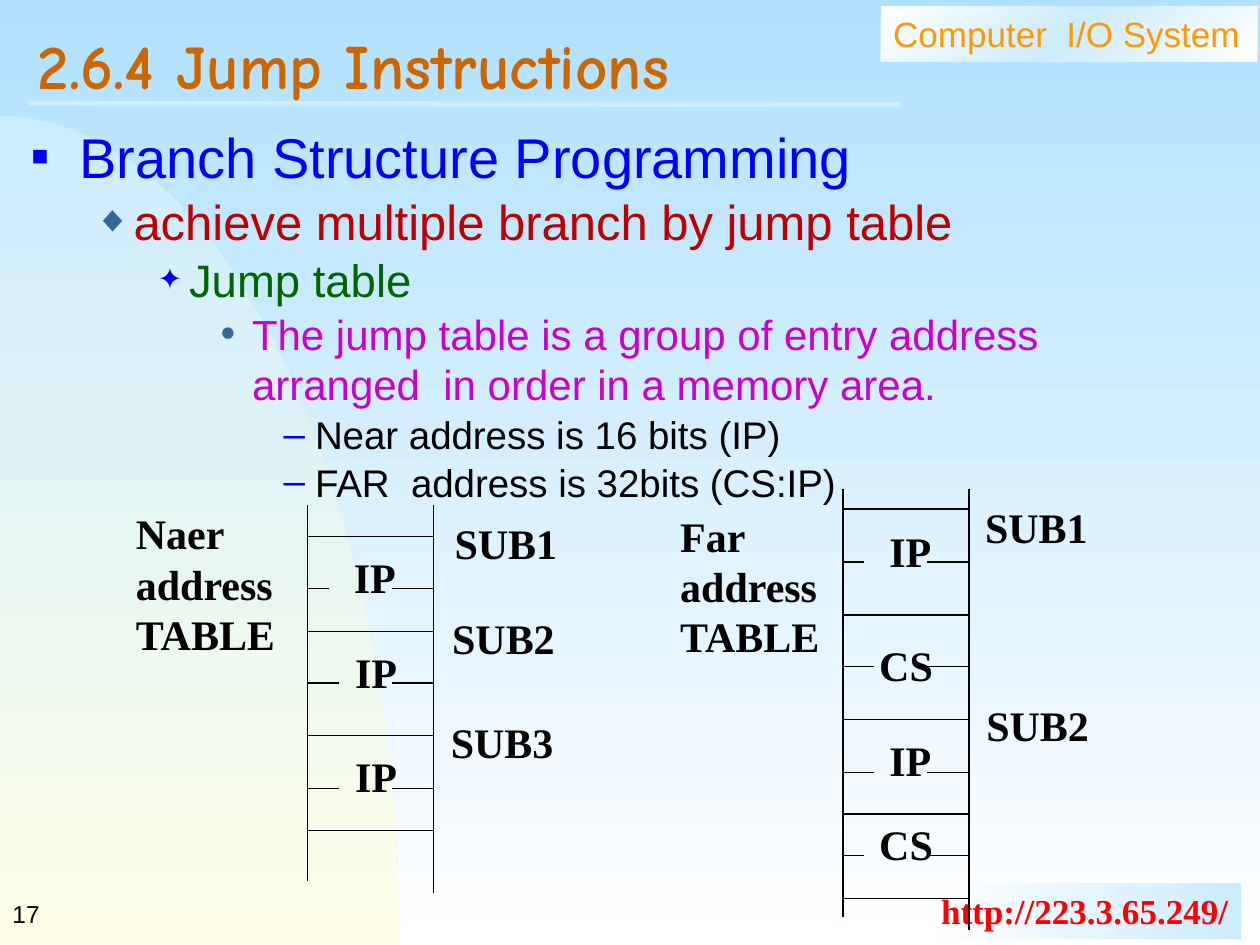
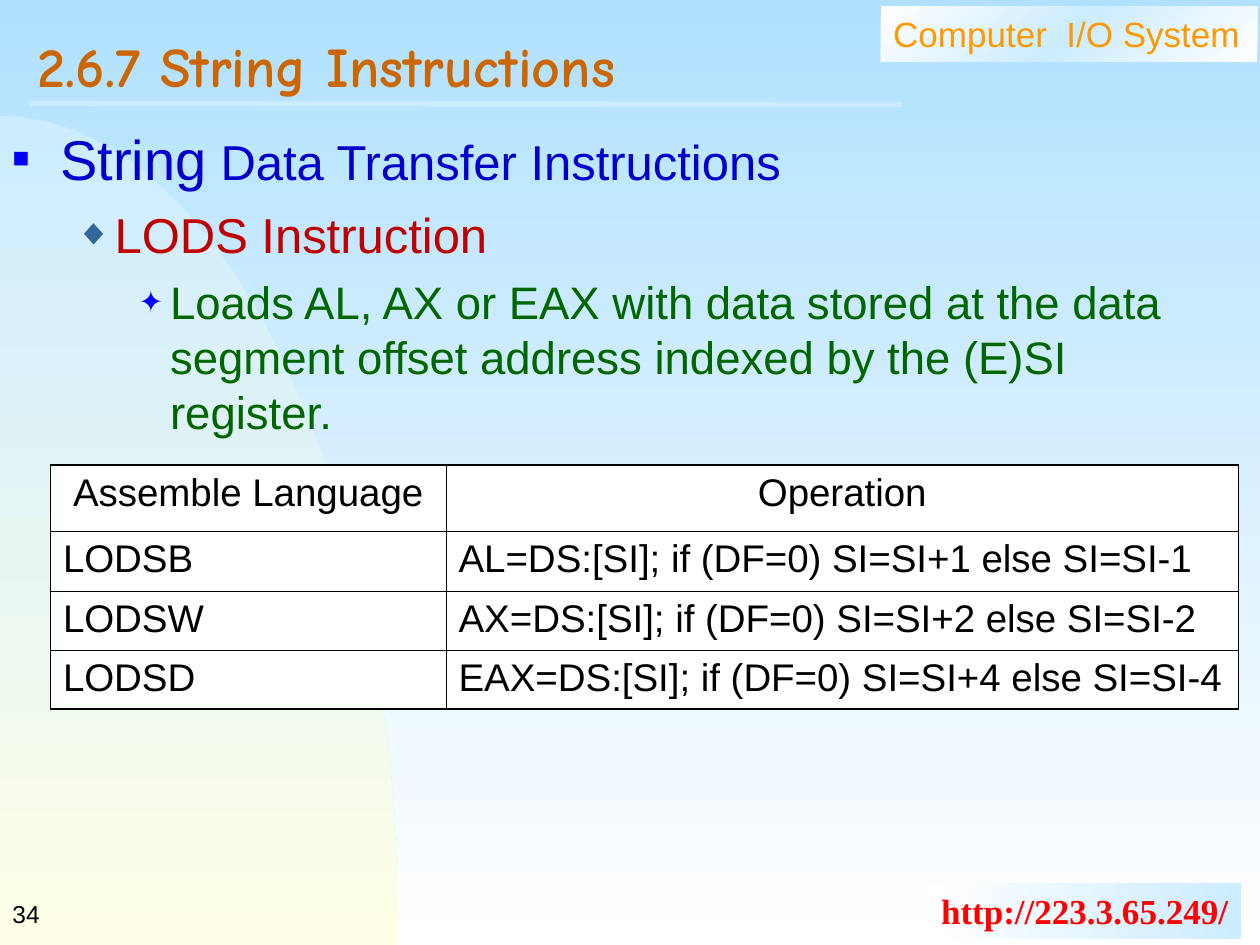
import math

from lxml import etree
from pptx import Presentation
from pptx.dml.color import RGBColor
from pptx.enum.shapes import MSO_CONNECTOR, MSO_SHAPE
from pptx.enum.text import MSO_ANCHOR, MSO_AUTO_SIZE, PP_ALIGN
from pptx.oxml.ns import qn
from pptx.util import Inches, Pt

STRAIGHT = MSO_CONNECTOR.STRAIGHT
RECTANGLE = MSO_SHAPE.RECTANGLE
TOP, MIDDLE = MSO_ANCHOR.TOP, MSO_ANCHOR.MIDDLE
NO_FIT = MSO_AUTO_SIZE.NONE
LEFT, CENTER = PP_ALIGN.LEFT, PP_ALIGN.CENTER

COLORS = {
    "sky": "B1E1FF", "pale": "CCECFF", "cream": "FFFFE7", "white": "FFFFFF",
    "black": "000000", "orange": "FF9900", "red": "FF0000", "title": "CC6600",
    "blue": "0000FF", "navy": "0000CC", "steel": "336699", "crimson": "C00000",
    "green": "006600", "magenta": "CC00CC",
}
SANS, SERIF, COMIC = "Arial", "Times New Roman", "Comic Neue"
TABLE_LABEL = {"name": SERIF, "size": 24, "bold": True}

LEVELS = [
    {"indent": 0.38, "hang": 0.38, "bullet": "■", "color": "blue", "percent": 50},
    {"indent": 0.81, "hang": 0.31, "bullet": "◆", "color": "steel", "percent": 75},
    {"indent": 1.25, "hang": 0.25, "bullet": "✦", "color": "blue", "percent": 65},
    {"indent": 1.75, "hang": 0.25, "bullet": "•", "color": "steel", "percent": 100},
    {"indent": 2.25, "hang": 0.25, "bullet": "–", "color": "blue", "percent": 100},
]

BRANCH_OUTLINE = [
    (0, 1, [("Branch Structure Programming", 32, "blue")]),
    (1, 1, [("achieve multiple branch by jump table", 28, "crimson")]),
    (2, 1, [("Jump table", 26, "green")]),
    (3, 1, [("The jump table is a group of entry address arranged  in order "
             "in a memory area.", 24, "magenta")]),
    (4, 1, [("Near address is 16 bits (IP)", 22, "black")]),
    (4, 1, [("FAR  address is 32bits (CS:IP)", 22, "black")]),
]
STRING_OUTLINE = [
    (0, 7, [("String", 32, "navy"), (" Data Transfer Instructions", 28, "navy")]),
    (1, 7, [("LODS Instruction", 28, "crimson")]),
    (2, 6.5, [("Loads AL, AX or EAX with data stored at the data segment offset "
               "address indexed by the (E)SI register.", 26, "green")]),
]

NEAR_TABLE = {
    "left": 2.44, "top": 4.01, "bottom": 7.09,
    "dividers": [4.26, 5.01, 5.84, 6.59],
    "ticks": [(4.67, 0.17), (5.42, 0.25), (6.26, 0.25)],
    "words": [("IP", 2.71, 4.33), ("IP", 2.72, 5.08), ("IP", 2.72, 5.91)],
    "targets": [("SUB1", 3.51, 4.06), ("SUB2", 3.49, 4.81), ("SUB3", 3.48, 5.64)],
    "caption": ("Naer address TABLE", 0.98, 3.98, 1.36),
}
FAR_TABLE = {
    "left": 6.69, "top": 3.88, "bottom": 7.38,
    "dividers": [4.04, 4.88, 5.71, 6.46, 7.13],
    "ticks": [(4.46, 0.17), (5.29, 0.25), (6.13, 0.25), (6.79, 0.17)],
    "words": [("IP", 6.96, 4.12), ("CS", 6.88, 5.03),
              ("IP", 6.96, 5.78), ("CS", 6.88, 6.45)],
    "targets": [("SUB1", 7.72, 3.93), ("SUB2", 7.73, 5.5)],
    "caption": ("Far address TABLE", 5.3, 4, 1.61),
}

LODS_ROWS = [
    ("Assemble Language", "Operation"),
    ("LODSB", "AL=DS:[SI]; if (DF=0) SI=SI+1 else SI=SI-1"),
    ("LODSW", "AX=DS:[SI]; if (DF=0) SI=SI+2 else SI=SI-2"),
    ("LODSD", "EAX=DS:[SI]; if (DF=0) SI=SI+4 else SI=SI-4"),
]


def rgb(color):
    return RGBColor.from_string(COLORS[color])


def inches(*lengths):
    return [Inches(length) for length in lengths]


def set_all(target, values):
    for name, value in values.items():
        setattr(target, name, value)


def add_run(paragraph, text, size, color="black", name=SANS, bold=False):
    run = paragraph.add_run()
    run.text = text
    set_all(run.font, {"size": Pt(size), "name": name, "bold": bold})
    run.font.color.rgb = rgb(color)


def add_color(parent, color):
    etree.SubElement(parent, qn("a:srgbClr"), val=COLORS[color])


def set_gradient(fill, element, colors, angle):
    fill.gradient()
    fill.gradient_angle = (360 - angle) % 360
    stops = next(element.iter(qn("a:gsLst")))
    for stop in list(stops):
        stops.remove(stop)
    for index, color in enumerate(colors):
        position = 100000 * index // (len(colors) - 1)
        add_color(etree.SubElement(stops, qn("a:gs"), pos=str(position)), color)


def add_line(slide, x1, y1, x2, y2, color="black", width=0.75):
    line = slide.shapes.add_connector(STRAIGHT, *inches(x1, y1, x2, y2))
    line.line.color.rgb = rgb(color)
    line.line.width = Pt(width)
    etree.SubElement(line.element.spPr, qn("a:effectLst"))


def add_label(slide, text, left, top, width, height=0.5, anchor=TOP, **font):
    box = slide.shapes.add_textbox(*inches(left, top, width, height))
    set_all(box.text_frame, {"word_wrap": True, "vertical_anchor": anchor})
    add_run(box.text_frame.paragraphs[0], text, **font)


def add_banner(slide, text, box, gradient, angle, wrap=True, **font):
    banner = slide.shapes.add_shape(RECTANGLE, *inches(*box))
    banner.shadow.inherit = False
    banner.line.fill.background()
    set_gradient(banner.fill, banner.element, gradient, angle)
    set_all(banner.text_frame, {"word_wrap": wrap, "vertical_anchor": TOP})
    paragraph = banner.text_frame.paragraphs[0]
    paragraph.alignment = LEFT
    add_run(paragraph, text, 20, **font)


def add_hill(slide, width=3.17, height=6.58, base=7.5, steps=60):
    angles = [math.pi / 2 * step / steps for step in range(steps + 1)]
    curve = [(Inches(width * math.sin(angle)), Inches(base - height * math.cos(angle)))
             for angle in angles]
    builder = slide.shapes.build_freeform(*curve[0], scale=1.0)
    builder.add_line_segments(curve[1:] + [(0, Inches(base))], close=True)
    hill = builder.convert_to_shape()
    hill.shadow.inherit = False
    hill.line.fill.background()
    set_gradient(hill.fill, hill.element, ["pale", "cream"], 90)


def place_placeholder(shape, box, anchor):
    shape.element.getparent().append(shape.element)
    set_all(shape, dict(zip(("left", "top", "width", "height"), inches(*box))))
    set_all(shape.text_frame, {"auto_size": NO_FIT, "word_wrap": True,
                               "vertical_anchor": anchor})


def add_base_slide(presentation, title, title_size, number):
    slide = presentation.slides.add_slide(presentation.slide_layouts[1])
    add_hill(slide)
    add_banner(slide, "Computer  I/O System", (6.99, 0.05, 2.99, 0.44),
               ["white", "pale", "white"], 45, color="orange")
    add_banner(slide, "http://223.3.65.249/", (7.37, 7.01, 2.48, 0.44),
               ["white", "pale"], 0, wrap=False, color="red", name=SERIF, bold=True)
    add_line(slide, 0.23, 0.82, 7.15, 0.83, "pale", 3)
    add_label(slide, number, 0, 7, 2.08, anchor=MIDDLE, size=14)
    place_placeholder(slide.shapes.title, (0.2, 0.2, 9.55, 0.77), MIDDLE)
    paragraph = slide.shapes.title.text_frame.paragraphs[0]
    set_all(paragraph, {"alignment": LEFT, "line_spacing": 0.7})
    add_run(paragraph, title, title_size, "title", COMIC, True)
    return slide


def set_bullet(paragraph, level):
    properties = paragraph._p.get_or_add_pPr()
    properties.set("marL", str(Inches(level["indent"])))
    properties.set("indent", str(-Inches(level["hang"])))
    add_color(etree.SubElement(properties, qn("a:buClr")), level["color"])
    etree.SubElement(properties, qn("a:buSzPct"), val=str(level["percent"] * 1000))
    etree.SubElement(properties, qn("a:buFont"), typeface=SANS)
    etree.SubElement(properties, qn("a:buChar"), char=level["bullet"])


def fill_outline(slide, box, outline):
    body = slide.placeholders[1]
    place_placeholder(body, box, TOP)
    frame = body.text_frame
    for index, (level, space, runs) in enumerate(outline):
        paragraph = frame.add_paragraph() if index else frame.paragraphs[0]
        set_all(paragraph, {"level": level, "space_before": Pt(space)})
        set_bullet(paragraph, LEVELS[level])
        for text, size, color in runs:
            add_run(paragraph, text, size, color)


def add_address_table(slide, left, top, bottom, dividers, ticks, words, targets, caption):
    right = left + 1
    add_line(slide, left, top, left, bottom - 0.1)
    add_line(slide, right, top, right, bottom)
    for y in dividers:
        add_line(slide, left, y, right, y)
    for y, length in ticks:
        add_line(slide, left, y, left + length, y)
        add_line(slide, right - 0.33, y, right, y)
    for text, x, y in words:
        add_label(slide, text, x, y, 0.7, **TABLE_LABEL)
    for text, x, y in targets:
        add_label(slide, text, x, y, 1.1, **TABLE_LABEL)
    text, x, y, width = caption
    add_label(slide, text, x, y, width, 1.3, **TABLE_LABEL)


def set_borders(cell, outer_sides):
    properties = cell._tc.get_or_add_tcPr()
    for side in "LRTB":
        width = Pt(1.08 if side in outer_sides else 0.45)
        border = etree.SubElement(properties, qn(f"a:ln{side}"), w=str(width))
        add_color(etree.SubElement(border, qn("a:solidFill")), "black")


def add_operation_table(slide, rows, box, column_widths, row_heights):
    frame = slide.shapes.add_table(len(rows), len(column_widths), *inches(*box))
    table = frame.table
    set_all(table, {"first_row": False, "horz_banding": False})
    for column, width in zip(table.columns, column_widths):
        column.width = Inches(width)
    for row, height in zip(table.rows, row_heights):
        row.height = Inches(height)
    for row, texts in enumerate(rows):
        for column, text in enumerate(texts):
            cell = table.cell(row, column)
            outer_sides = "R" if column else "L"
            outer_sides += {0: "T", len(rows) - 1: "B"}.get(row, "")
            set_borders(cell, outer_sides)
            cell.fill.solid()
            cell.fill.fore_color.rgb = rgb("white")
            paragraph = cell.text_frame.paragraphs[0]
            set_all(paragraph, {"alignment": LEFT if row else CENTER,
                                "space_before": Pt(5.5)})
            add_run(paragraph, text, 22)


def main():
    presentation = Presentation()
    set_all(presentation, {"slide_width": Inches(10), "slide_height": Inches(7.5)})
    master = presentation.slide_master
    set_gradient(master.background.fill, master.element, ["sky", "white"], 90)

    jump_slide = add_base_slide(presentation, "2.6.4 Jump Instructions", 36, "17")
    fill_outline(jump_slide, (0.15, 0.92, 9.47, 6), BRANCH_OUTLINE)
    for address_table in (NEAR_TABLE, FAR_TABLE):
        add_address_table(jump_slide, **address_table)

    string_slide = add_base_slide(presentation, "2.6.7 String Instructions", 32, "34")
    add_operation_table(string_slide, LODS_ROWS, (0.4, 3.69, 9.43, 1.94),
                        [3.14, 6.29], [0.53, 0.47, 0.47, 0.47])
    fill_outline(string_slide, (0, 0.94, 9.65, 6.2), STRING_OUTLINE)

    presentation.save("out.pptx")


if __name__ == "__main__":
    main()
